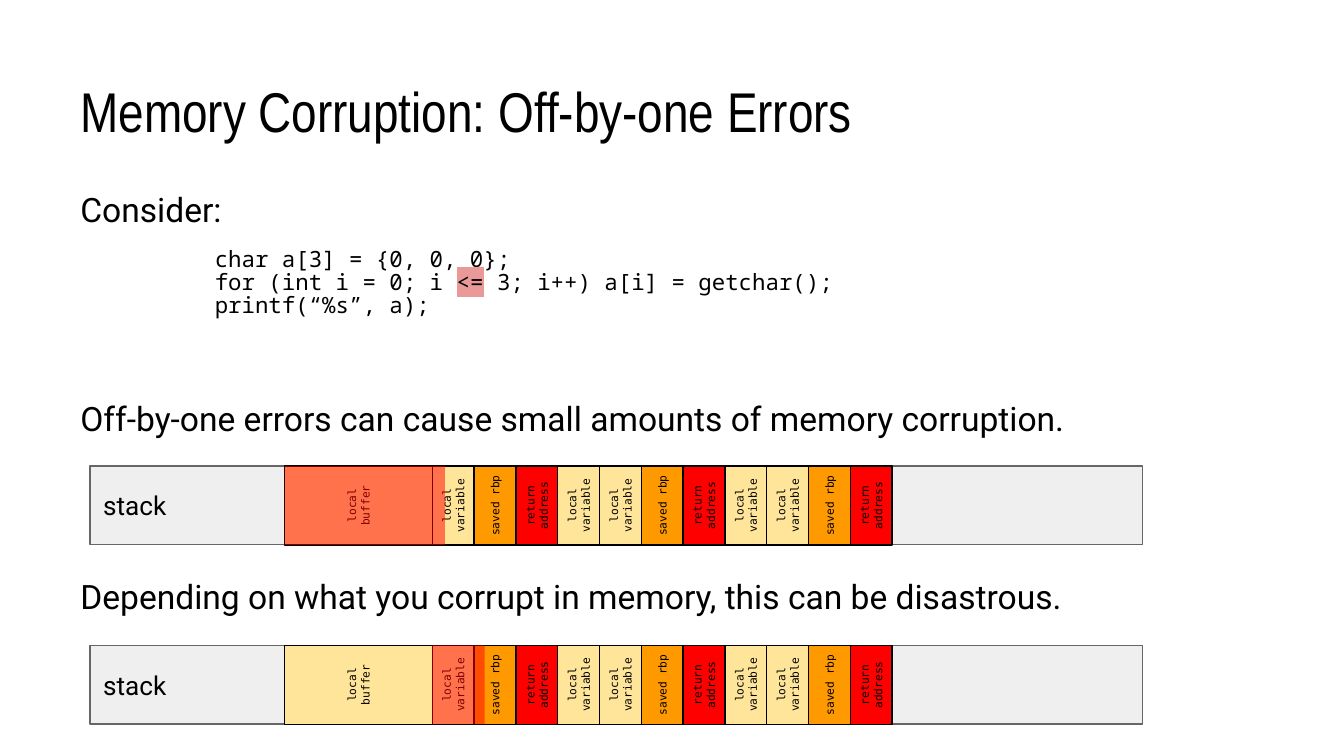
import lxml.etree
import pptx
import pptx.dml.color
import pptx.enum.shapes
import pptx.enum.text
import pptx.oxml.ns
import pptx.util

Cm = pptx.util.Cm
Pt = pptx.util.Pt
qn = pptx.oxml.ns.qn
ANCHOR = pptx.enum.text.MSO_ANCHOR
ALIGN = pptx.enum.text.PP_ALIGN

# Stack geometry in cm
BAR_LEFT, BAR_WIDTH, BAR_HEIGHT = 1.7, 19.89, 1.49
BUFFER_LEFT, BUFFER_WIDTH = 5.38, 2.79
SLOT_LEFT, SLOT_WIDTH = BUFFER_LEFT + BUFFER_WIDTH, 0.79

SLOT_FILLS = {"local variable": "FFE599", "saved rbp": "FF9900",
              "return address": "FF0000"}
FRAME = ["local variable", "saved rbp", "return address"]
SLOTS = FRAME + 2 * (["local variable"] + FRAME)


def color(hex_code):
    return pptx.dml.color.RGBColor.from_string(hex_code)


class StackSlide:
    BODY_FONT, CODE_FONT = "Roboto", "Noto Sans Mono"
    TITLE_FONT, SLOT_FONT = "Arial Narrow", "DejaVu Sans Mono"
    INK = "000000"

    def __init__(self, slide):
        self.slide = slide

    def style(self, paragraph, size, font):
        paragraph.font.size = Pt(size)
        paragraph.font.name = font
        paragraph.font.color.rgb = color(self.INK)

    def frame(self, shape, anchor, inset):
        frame = shape.text_frame
        frame.word_wrap = True
        frame.vertical_anchor = anchor
        frame.margin_left = frame.margin_right = Cm(inset)
        frame.margin_top = frame.margin_bottom = Cm(inset)
        return frame

    def text_box(self, left, top, width, height, anchor=ANCHOR.TOP):
        box = self.slide.shapes.add_textbox(
            Cm(left), Cm(top), Cm(width), Cm(height))
        return self.frame(box, anchor, 0.25)

    def title(self, text):
        heading = self.text_box(1.27, 0.58, 22.86, 2.39, ANCHOR.BOTTOM).paragraphs[0]
        heading.text = text
        self.style(heading, 30, self.TITLE_FONT)

    def statement(self, paragraph, text, before=0):
        paragraph.text = text
        if before:
            paragraph.space_before = Pt(before)
        self.style(paragraph, 18, self.BODY_FONT)

    def code_line(self, paragraph, parts, before=0):
        """Every second part is highlighted."""
        paragraph._p.get_or_add_pPr().set("marL", str(Cm(2.54)))
        paragraph.line_spacing = 0.87
        paragraph.space_before = Pt(before)
        for index, part in enumerate(parts):
            run = paragraph.add_run()
            run.text = part
            if index % 2:
                mark = lxml.etree.SubElement(
                    run._r.get_or_add_rPr(), qn("a:highlight"))
                lxml.etree.SubElement(mark, qn("a:srgbClr"), val="EA9999")
        self.style(paragraph, 12, self.CODE_FONT)

    def rectangle(self, left, top, width, height, fill, line=None):
        shape = self.slide.shapes.add_shape(
            pptx.enum.shapes.MSO_SHAPE.RECTANGLE,
            Cm(left), Cm(top), Cm(width), Cm(height))
        shape.shadow.inherit = False
        shape.fill.solid()
        shape.fill.fore_color.rgb = color(fill)
        if line:
            shape.line.color.rgb = color(line)
            shape.line.width = Pt(0.75)
        else:
            shape.line.fill.background()
        return shape

    def bar(self, top):
        shape = self.rectangle(BAR_LEFT, top, BAR_WIDTH, BAR_HEIGHT, "EFEFEF", "666666")
        label = self.frame(shape, ANCHOR.MIDDLE, 0.25).paragraphs[0]
        label.text = "stack"
        label.alignment = ALIGN.LEFT
        self.style(label, 14, self.BODY_FONT)

    def slot(self, left, top, width, text, fill):
        """A slot that reads upwards: a rectangle turned about its centre."""
        shift = (width - BAR_HEIGHT) / 2
        shape = self.rectangle(left + shift, top - shift, BAR_HEIGHT, width, fill, self.INK)
        shape.rotation = 270
        label = self.frame(shape, ANCHOR.MIDDLE, 0).paragraphs[0]
        label.text = text
        label.alignment = ALIGN.CENTER
        self.style(label, 6, self.SLOT_FONT)

    def overflow(self, left, top, width):
        shape = self.rectangle(left, top, width, BAR_HEIGHT, "FF0000")
        tint = shape._element.spPr.find(qn("a:solidFill"))[0]
        lxml.etree.SubElement(tint, qn("a:alpha"), val="50000")

    def stack(self, top, overflow_left, overflow_width):
        self.bar(top)
        for index, name in reversed(list(enumerate(SLOTS))):
            self.slot(SLOT_LEFT + index * SLOT_WIDTH, top, SLOT_WIDTH,
                      name, SLOT_FILLS[name])
        self.slot(BUFFER_LEFT, top, BUFFER_WIDTH, "local buffer", "FFE599")
        self.overflow(overflow_left, top, overflow_width)


def main():
    deck = pptx.Presentation()
    deck.slide_width, deck.slide_height = Cm(25.4), Cm(14.29)
    page = StackSlide(deck.slides.add_slide(deck.slide_layouts[6]))

    # Title
    page.title("Memory Corruption: Off-by-one Errors")

    # Explanation and code
    body = page.text_box(1.27, 3.33, 22.86, 10.34)
    page.statement(body.paragraphs[0], "Consider:")
    page.code_line(body.add_paragraph(), ["char a[3] = {0, 0, 0};"], 10)
    page.code_line(body.add_paragraph(),
                   ["for (int i = 0; i ", "<=", " 3; i++) a[i] = getchar();"])
    page.code_line(body.add_paragraph(), ["printf(“%s”, a);"])
    page.statement(body.add_paragraph(),
                   "Off-by-one errors can cause small amounts of memory corruption.", 42.5)
    page.statement(body.add_paragraph(),
                   "Depending on what you corrupt in memory, this can be disastrous.", 73.7)

    # Stacks: overflow from the buffer, then from the local variable
    page.stack(8.81, BUFFER_LEFT, 3.03)
    page.stack(12.2, SLOT_LEFT, 0.99)

    deck.save("out.pptx")


if __name__ == "__main__":
    main()
